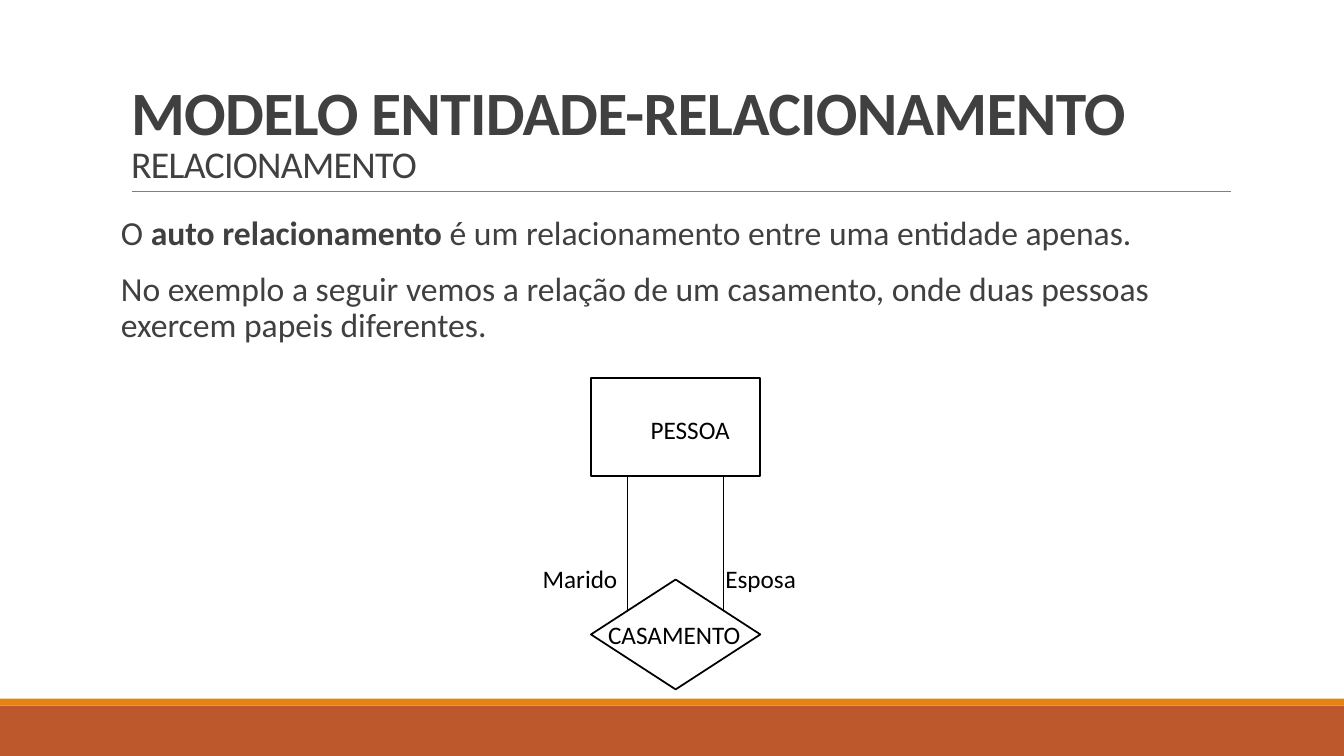
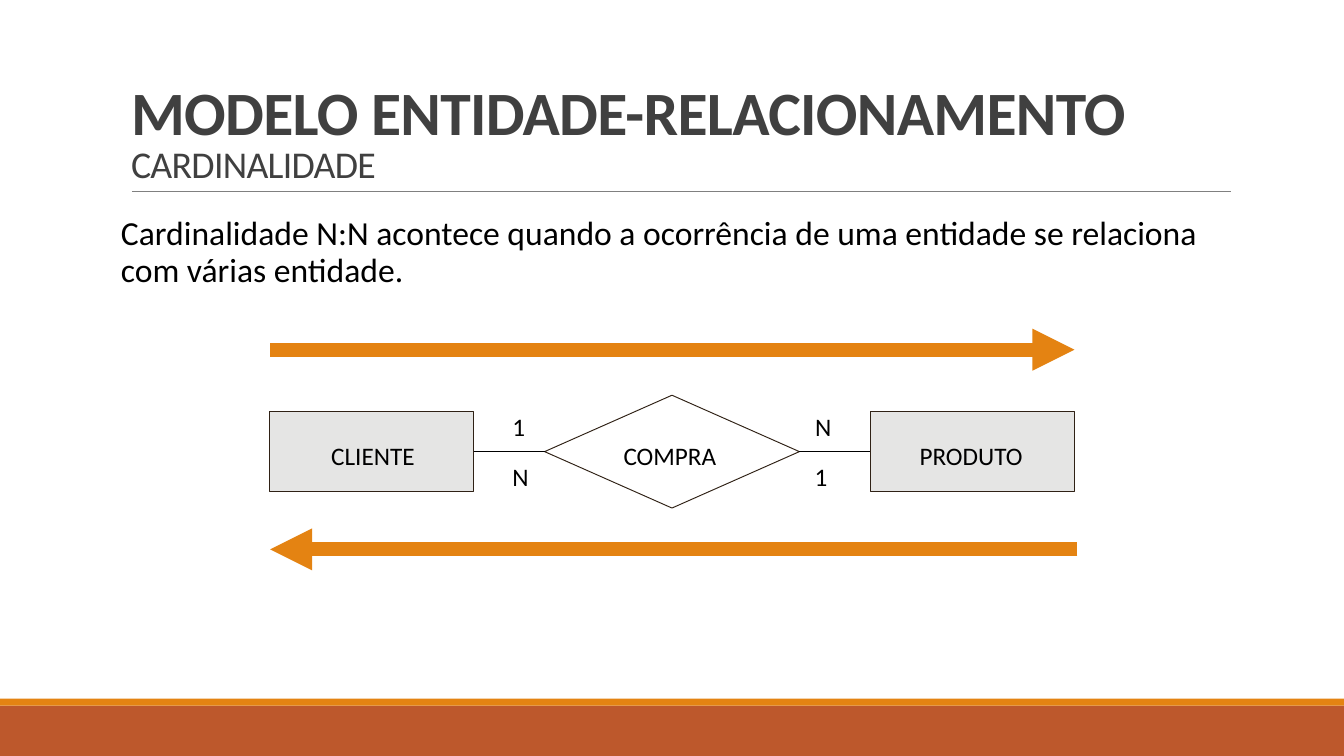
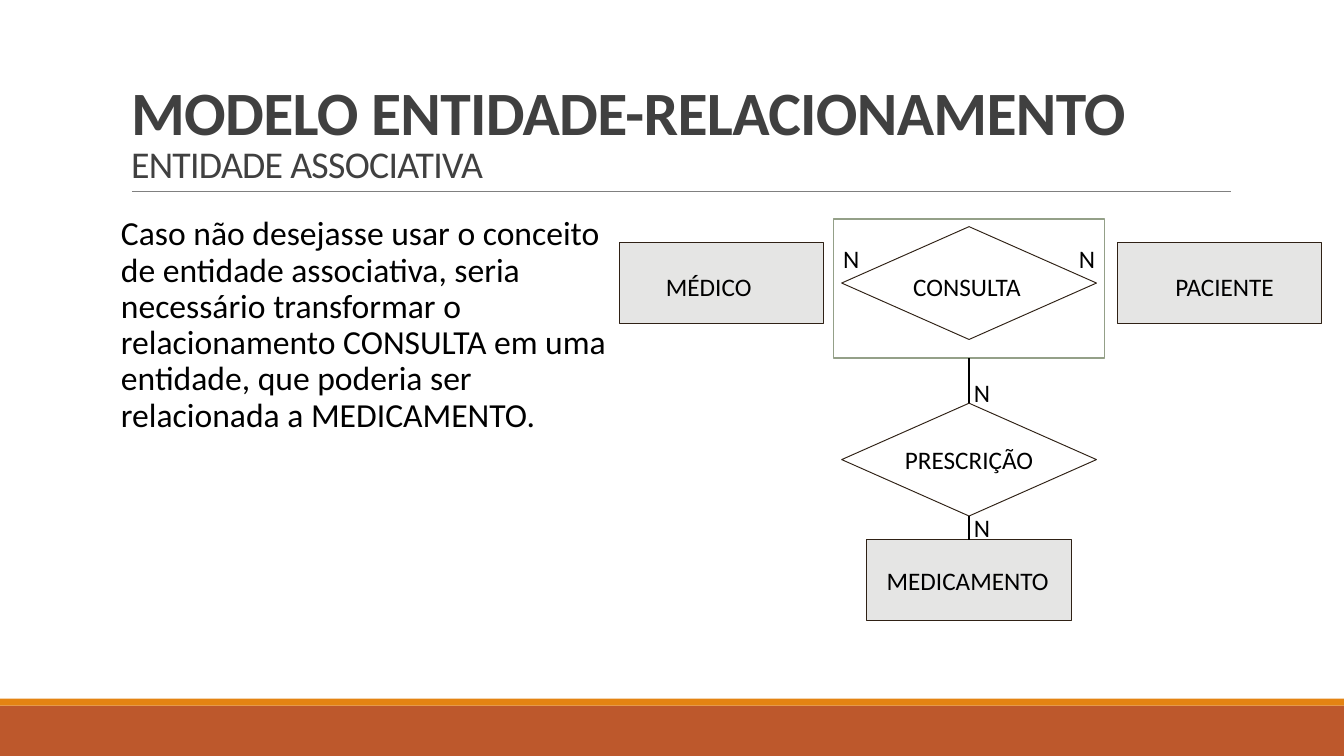
from lxml import etree
from pptx import Presentation
from pptx.dml.color import RGBColor
from pptx.enum.shapes import MSO_CONNECTOR, MSO_SHAPE
from pptx.enum.text import MSO_ANCHOR, MSO_AUTO_SIZE, PP_ALIGN
from pptx.oxml.ns import qn
from pptx.util import Pt

RECT, DIAMOND = MSO_SHAPE.RECTANGLE, MSO_SHAPE.DIAMOND
STRAIGHT = MSO_CONNECTOR.STRAIGHT
LEFT, CENTER = PP_ALIGN.LEFT, PP_ALIGN.CENTER
MIDDLE, BOTTOM = MSO_ANCHOR.MIDDLE, MSO_ANCHOR.BOTTOM
TOP_SIDE, LEFT_SIDE, BOTTOM_SIDE, RIGHT_SIDE = range(4)

FONT = "Calibri"
COLORS = {
    "black": "000000", "white": "FFFFFF", "text": "404040", "rule": "808080",
    "orange": "E48312", "rust": "BD582C", "gray": "E5E5E4", "brown": "2F2115",
    "sage": "94A088",
}
WIDTH, HEIGHT = 960, 540
TITLE = "MODELO ENTIDADE-RELACIONAMENTO"
TITLE_BOX = (86.4, 22.3, 792, 114.5)
BANDS = [("rust", 504, 36), ("orange", 499, 5)]
RULE = (94.3, 136.8, 879.1, 136.8)

# kind: shape, width, height, fill, line colour, line width
KINDS = {
    "person": (RECT, 121, 70, "white", "black", 1.25),
    "marriage": (DIAMOND, 121, 78.5, "white", "black", 1.25),
    "entity": (RECT, 146, 57.6, "gray", "brown", 0.67),
    "relation": (DIAMOND, 182, 80.6, "white", "brown", 0.67),
    "frame": (RECT, 193.7, 99.4, "white", "sage", 1.25),
}

MARRIAGE_X = 482.6
PURCHASE_X, PURCHASE_Y, ENTITY_DX = 480, 322.6, 214.6
CONSULT_X, CONSULT_Y = 692.2, 202.2

# nodes: name -> kind, text, centre x, centre y, text shift right, text shift down
# joins: node, side, node, side; lines: x1, y1, x2, y2; labels: text, centre x, centre y
SLIDES = [
    {
        "subtitle": "RELACIONAMENTO",
        "body_width": 792,
        "body_color": "text",
        "body": [
            [("O ", False), ("auto relacionamento", True),
             (" é um relacionamento entre uma entidade apenas.", False)],
            [("No exemplo a seguir vemos a relação de um casamento, onde duas "
              "pessoas exercem papeis diferentes.", False)],
        ],
        "nodes": {
            "pessoa": ("person", "PESSOA", MARRIAGE_X, 305, 10.4, 1.5),
            "casamento": ("marriage", "CASAMENTO", MARRIAGE_X, 453.2, -1, 0),
        },
        "lines": [(MARRIAGE_X + dx, 340, MARRIAGE_X + dx, 436.3) for dx in (-34.2, 34.2)],
        "labels": [("Marido", 414.3, 413.3), ("Esposa", 543.3, 413.3)],
    },
    {
        "subtitle": "CARDINALIDADE",
        "body_width": 792,
        "body_color": "black",
        "body": [[("Cardinalidade N:N acontece quando a ocorrência de uma entidade "
                   "se relaciona com várias entidade.", False)]],
        "nodes": {
            "cliente": ("entity", "CLIENTE", PURCHASE_X - ENTITY_DX, PURCHASE_Y, 1, 3),
            "compra": ("relation", "COMPRA", PURCHASE_X, PURCHASE_Y, -1.5, 3),
            "produto": ("entity", "PRODUTO", PURCHASE_X + ENTITY_DX, PURCHASE_Y, -1, 3),
        },
        "joins": [("cliente", RIGHT_SIDE, "compra", LEFT_SIDE),
                  ("compra", RIGHT_SIDE, "produto", LEFT_SIDE)],
        "arrows": [(193, 249.8, 767.5, 249.8), (769.5, 392.4, 193, 392.4)],
        "labels": [("1", 370.5, 304.6), ("N", 588, 304.6),
                   ("N", 371.8, 340.6), ("1", 586.5, 340.6)],
    },
    {
        "subtitle": "ENTIDADE ASSOCIATIVA",
        "body_width": 355.7,
        "body_color": "black",
        "body": [[("Caso não desejasse usar o conceito de entidade associativa, seria "
                   "necessário transformar o relacionamento CONSULTA em uma entidade, "
                   "que poderia ser relacionada a MEDICAMENTO.", False)]],
        "nodes": {
            "associativa": ("frame", "", CONSULT_X, 205.9, 0, 0),
            "médico": ("entity", "MÉDICO", 515.2, CONSULT_Y, -9, 2.5),
            "paciente": ("entity", "PACIENTE", 871.2, CONSULT_Y, 3.5, 2.5),
            "consulta": ("relation", "CONSULTA", CONSULT_X, CONSULT_Y, -1.5, 2.5),
            "prescrição": ("relation", "PRESCRIÇÃO", CONSULT_X, 328.3, 0, 0),
            "medicamento": ("entity", "MEDICAMENTO", CONSULT_X, 414.4, -1, 0),
        },
        "joins": [("associativa", BOTTOM_SIDE, "prescrição", TOP_SIDE),
                  ("prescrição", BOTTOM_SIDE, "medicamento", TOP_SIDE)],
        "labels": [("N", 608, 184.3), ("N", 776.5, 184.3),
                   ("N", 701.5, 280), ("N", 701.5, 376.6)],
    },
]


def rgb(name):
    return RGBColor.from_string(COLORS[name])


def add_run(p, text, size, color, bold=False):
    r = p.add_run()
    r.text = text
    for key, value in {"name": FONT, "size": Pt(size), "bold": bold}.items():
        setattr(r.font, key, value)
    r.font.color.rgb = rgb(color)
    return r


def place(sp, left, top, width, height):
    sp.left, sp.top, sp.width, sp.height = map(Pt, (left, top, width, height))


def format_frame(tf, **values):
    for key, value in values.items():
        setattr(tf, key, value)


def add_shape(slide, kind, box, fill, line=None, line_width=0):
    sp = slide.shapes.add_shape(kind, *map(Pt, box))
    sp.shadow.inherit = False
    sp.fill.solid()
    sp.fill.fore_color.rgb = rgb(fill)
    if line:
        sp.line.color.rgb = rgb(line)
        sp.line.width = Pt(line_width)
    else:
        sp.line.fill.background()
    return sp


def add_line(slide, ends, color="black", width=1, arrow=False):
    line = slide.shapes.add_connector(STRAIGHT, *map(Pt, ends))
    line.line.color.rgb = rgb(color)
    line.line.width = Pt(width)
    if arrow:
        etree.SubElement(line.line._get_or_add_ln(), qn("a:tailEnd"), type="triangle")
    etree.SubElement(line.element.spPr, qn("a:effectLst"))
    return line


def center_text(sp, text, dx=0, dy=0):
    """Centre one line in a shape, moved dx right and dy down by its insets."""
    tf = sp.text_frame
    format_frame(tf, word_wrap=False, vertical_anchor=MIDDLE,
                 margin_left=Pt(max(2 * dx, 0)), margin_right=Pt(max(-2 * dx, 0)),
                 margin_top=Pt(max(2 * dy, 0)), margin_bottom=Pt(max(-2 * dy, 0)))
    p = tf.paragraphs[0]
    p.alignment = CENTER
    add_run(p, text, 18, "black")


def add_node(slide, kind, text, cx, cy, dx, dy):
    shape, width, height, *style = KINDS[kind]
    sp = add_shape(slide, shape, (cx - width / 2, cy - height / 2, width, height), *style)
    if text:
        center_text(sp, text, dx, dy)
    return sp


def add_label(slide, text, cx, cy, width=60, height=28.8):
    box = (cx - width / 2, cy - height / 2, width, height)
    center_text(slide.shapes.add_textbox(*map(Pt, box)), text)


def fill_title(slide, subtitle):
    sp = slide.shapes.title
    place(sp, *TITLE_BOX)
    tf = sp.text_frame
    format_frame(tf, word_wrap=True, auto_size=MSO_AUTO_SIZE.NONE, vertical_anchor=BOTTOM)
    p = tf.paragraphs[0]
    p.alignment, p.line_spacing = LEFT, 0.85
    main = add_run(p, TITLE, 44, "text", True)
    p.add_line_break()
    for r in (main, add_run(p, subtitle, 27, "text")):
        r.font._element.set("spc", "-50")


def fill_body(slide, paragraphs, width, color):
    sp = slide.placeholders[1]
    place(sp, 86.4, 151.2, width, 342)
    tf = sp.text_frame
    format_frame(tf, word_wrap=True, auto_size=MSO_AUTO_SIZE.NONE,
                 margin_left=0, margin_right=0)
    for i, runs in enumerate(paragraphs):
        p = tf.add_paragraph() if i else tf.paragraphs[0]
        pPr = p._p.get_or_add_pPr()
        pPr.set("marL", "0")
        pPr.set("indent", "0")
        etree.SubElement(pPr, qn("a:buNone"))
        p.line_spacing = 0.9
        p.space_before, p.space_after = Pt(12 if i else 0), Pt(2)
        for text, bold in runs:
            add_run(p, text, 24, color, bold)


def add_slide(prs, data):
    slide = prs.slides.add_slide(prs.slide_layouts[1])
    for color, top, height in BANDS:
        add_shape(slide, RECT, (0, top, WIDTH, height), color)
    add_line(slide, RULE, "rule", 0.5)
    fill_title(slide, data["subtitle"])
    fill_body(slide, data["body"], data["body_width"], data["body_color"])

    nodes = {name: add_node(slide, *node) for name, node in data["nodes"].items()}
    for start, start_side, end, end_side in data.get("joins", []):
        line = add_line(slide, (0, 0, 0, 0))
        line.begin_connect(nodes[start], start_side)
        line.end_connect(nodes[end], end_side)
    for ends in data.get("lines", []):
        add_line(slide, ends)
    for ends in data.get("arrows", []):
        add_line(slide, ends, "orange", 10, arrow=True)
    for label in data["labels"]:
        add_label(slide, *label)


def main():
    prs = Presentation()
    prs.slide_width, prs.slide_height = Pt(WIDTH), Pt(HEIGHT)
    for data in SLIDES:
        add_slide(prs, data)
    prs.save("out.pptx")


if __name__ == "__main__":
    main()
